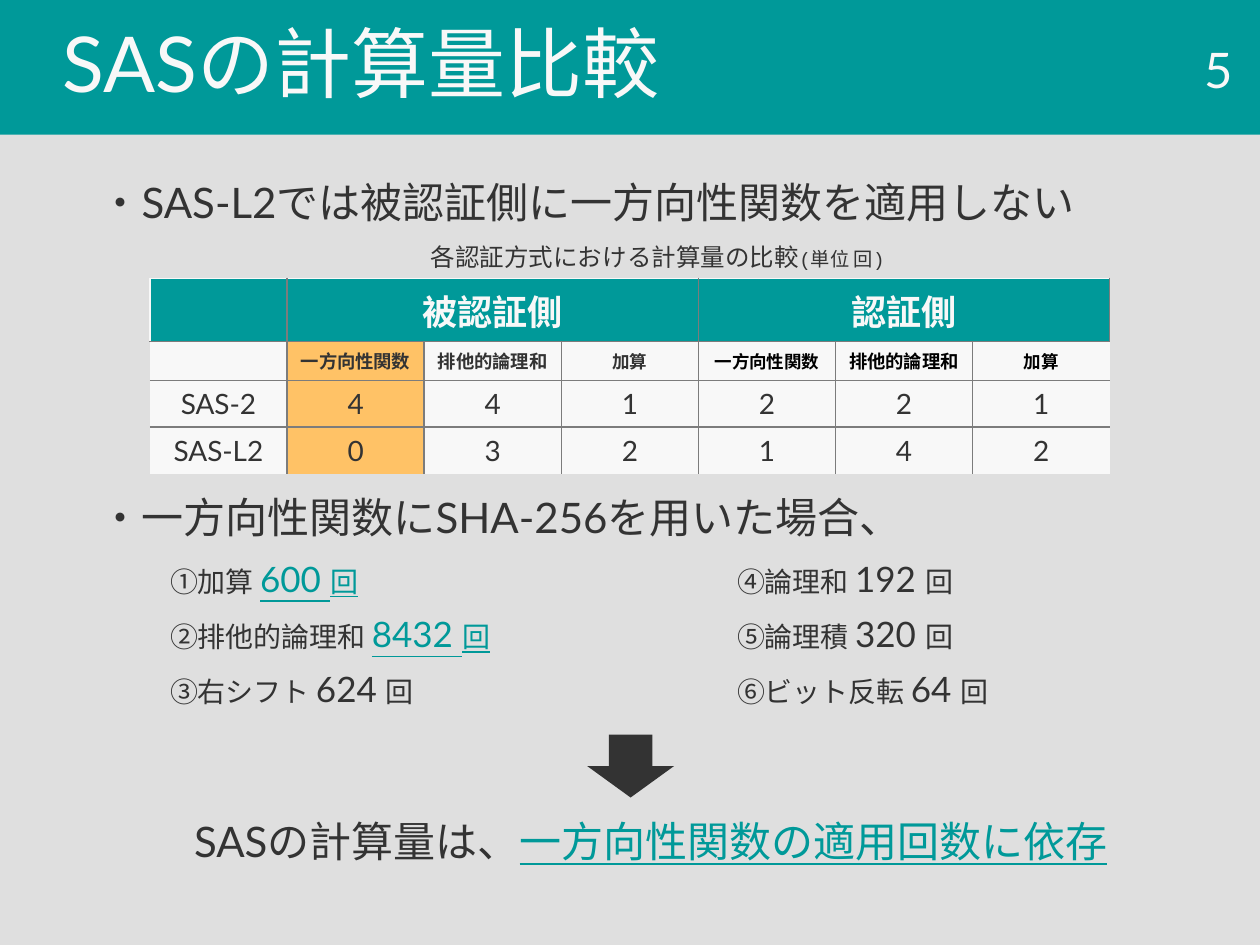
from lxml import etree
from pptx import Presentation
from pptx.dml.color import RGBColor
from pptx.enum.shapes import MSO_SHAPE as Shape
from pptx.enum.text import MSO_ANCHOR as Anchor, PP_ALIGN as Align
from pptx.oxml.ns import qn
from pptx.util import Inches, Pt

TEAL, DARK, LIGHT, GREY, ORANGE = "009999", "333333", "F8F8F8", "7C7C7C", "FFC266"
MONO = "Courier New"


def rgb(value):
    return RGBColor.from_string(value)


def paint(obj, color):
    obj.fill.solid()
    obj.fill.fore_color.rgb = rgb(color)


def add_run(p, text, size=16, color=DARK, font="Lato", bold=False, underline=False):
    r = p.add_run()
    r.text = text
    r.font.size, r.font.name = Pt(size), font
    r.font.bold, r.font.underline = bold, underline
    r.font.color.rgb = rgb(color)


def add_shape(s, kind, box, color):
    sp = s.shapes.add_shape(kind, *map(Inches, box))
    sp.shadow.inherit = False
    paint(sp, color)
    sp.line.fill.background()
    return sp


def fill_frame(tf, lines, inset=0, align=Align.LEFT, spacing=0.9):
    """Each line is a list of (text, format) pairs."""
    tf.word_wrap = True
    tf.vertical_anchor = Anchor.MIDDLE
    tf.margin_left = tf.margin_right = Inches(inset)
    tf.margin_top = tf.margin_bottom = 0
    for i, runs in enumerate(lines):
        p = tf.add_paragraph() if i else tf.paragraphs[0]
        p.alignment, p.line_spacing = align, spacing
        p.space_before = Pt(10 if i else 0)
        for text, style in runs:
            add_run(p, text, **style)


def add_text(s, box, lines, **kw):
    fill_frame(s.shapes.add_textbox(*map(Inches, box)).text_frame, lines, **kw)


def header(s, box, title, number):
    x, y, w, h = box
    bar = add_shape(s, Shape.RECTANGLE, box, TEAL)
    fill_frame(bar.text_frame, [[(title, dict(size=44, color=LIGHT))]], inset=0.5)
    add_text(s, (x + w - 2.37, y + 0.35, 2.25, 0.4),
             [[(number, dict(size=28, color=LIGHT))]],
             inset=0.1, align=Align.RIGHT, spacing=1)


def set_borders(cell, colors):
    """Colors for left, right, top and bottom; None hides the side."""
    tc_pr = cell._tc.get_or_add_tcPr()
    for side, color in zip("LRTB", colors):
        ln = etree.SubElement(tc_pr, qn(f"a:ln{side}"), w=str(Pt(1)))
        if color:
            fill = etree.SubElement(ln, qn("a:solidFill"))
            etree.SubElement(fill, qn("a:srgbClr"), val=color)
        else:
            etree.SubElement(ln, qn("a:noFill"))


def cell_style(row, col):
    if row == 0:
        return dict(size=20, color=LIGHT, bold=True)
    if row == 1:
        return dict(size=10 if col in (3, 4, 6) else 10.5, bold=True,
                    color=DARK if col < 4 else "000000")
    return dict(size=16)


def cost_table(s, box):
    rows = [
        ["", "被認証側", "", "", "認証側", "", ""],
        [""] + ["一方向性関数", "排他的論理和", "加算"] * 2,
        ["SAS-2", "4", "4", "1", "2", "2", "1"],
        ["SAS-L2", "0", "3", "2", "1", "4", "2"],
    ]
    heights = [0.5, 0.31, 0.37, 0.37]
    last_row, last_col = len(rows) - 1, len(rows[0]) - 1
    frame = s.shapes.add_table(len(rows), len(rows[0]), *map(Inches, box))
    table = frame.table
    table.first_row = table.horz_banding = False
    for row, height in zip(table.rows, heights):
        row.height = Inches(height)
    for col in table.columns:
        col.width = Inches(box[2] / len(rows[0]))
    for first in (1, 4):
        table.cell(0, first).merge(table.cell(0, first + 2))
    for i, values in enumerate(rows):
        edge = None if i else LIGHT
        for j, text in enumerate(values):
            cell = table.cell(i, j)
            set_borders(cell, (GREY if j else edge,
                               GREY if j < last_col else edge,
                               GREY if i else LIGHT,
                               GREY if i < last_row else None))
            paint(cell, TEAL if i == 0 else ORANGE if j == 1 else LIGHT)
            cell.vertical_anchor = Anchor.MIDDLE
            cell.margin_left = cell.margin_right = Inches(0.02)
            cell.margin_top = cell.margin_bottom = 0
            p = cell.text_frame.paragraphs[0]
            p.alignment = Align.CENTER
            if text:
                add_run(p, text, **cell_style(i, j))


def count_list(s, box, items):
    """Each item is label, count, whether it is stressed, and label font."""
    lines = []
    for label, count, stressed, font in items:
        style = dict(color=TEAL if stressed else DARK, underline=stressed)
        lines.append([(label + " ", dict(font=font)),
                      (count + " ", dict(size=20, **style)),
                      ("回", dict(font=font, **style))])
    add_text(s, box, lines)


def body(s, box):
    x, y, w, h = box
    big = dict(size=24)
    # First point, with the captioned table
    add_text(s, (x, y, w, 0.46), [[("・SAS-L2では被認証側に一方向性関数を適用しない", big)]])
    add_text(s, (x + 2.53, y + 0.47, 4.04, 0.34),
             [[("各認証方式における計算量の比較", dict(size=14, font=MONO)),
               ("(単位 回)", dict(size=11, font=MONO))]], inset=0.1, spacing=1)
    cost_table(s, (x + 0.4, y + 0.81, 7.62, 1.55))
    # Second point, with operation counts in two columns
    add_text(s, (x, y + 2.5, w, 0.46), [[("・一方向性関数にSHA-256を用いた場合、", big)]])
    count_list(s, (x + 0.56, y + 2.95, 4, 1.4), [
        ("①加算", "600", True, "Lato"),
        ("②排他的論理和", "8432", True, "Lato"),
        ("③右シフト", "624", False, "Lato")])
    count_list(s, (x + 5.06, y + 2.95, 3, 1.4), [
        ("④論理和", "192", False, "Lato"),
        ("⑤論理積", "320", False, "Lato"),
        ("⑥ビット反転", "64", False, MONO)])
    # Conclusion
    add_shape(s, Shape.DOWN_ARROW, (x + 3.87, y + 4.43, 0.69, 0.5), DARK)
    add_text(s, (x + 0.75, y + 5.07, w - 0.6, 0.46),
             [[("SASの計算量は、", big),
               ("一方向性関数の適用回数に依存", dict(size=24, color=TEAL, underline=True))]])


def main():
    prs = Presentation()
    prs.slide_width, prs.slide_height = Inches(10), Inches(7.5)
    s = prs.slides.add_slide(prs.slide_layouts[6])
    paint(s.background, "DFDFDF")
    header(s, (0, 0, 10, 1.07), "SASの計算量比較", "5")
    body(s, (0.79, 1.4, 8.52, 5.6))
    prs.save("out.pptx")


if __name__ == "__main__":
    main()
